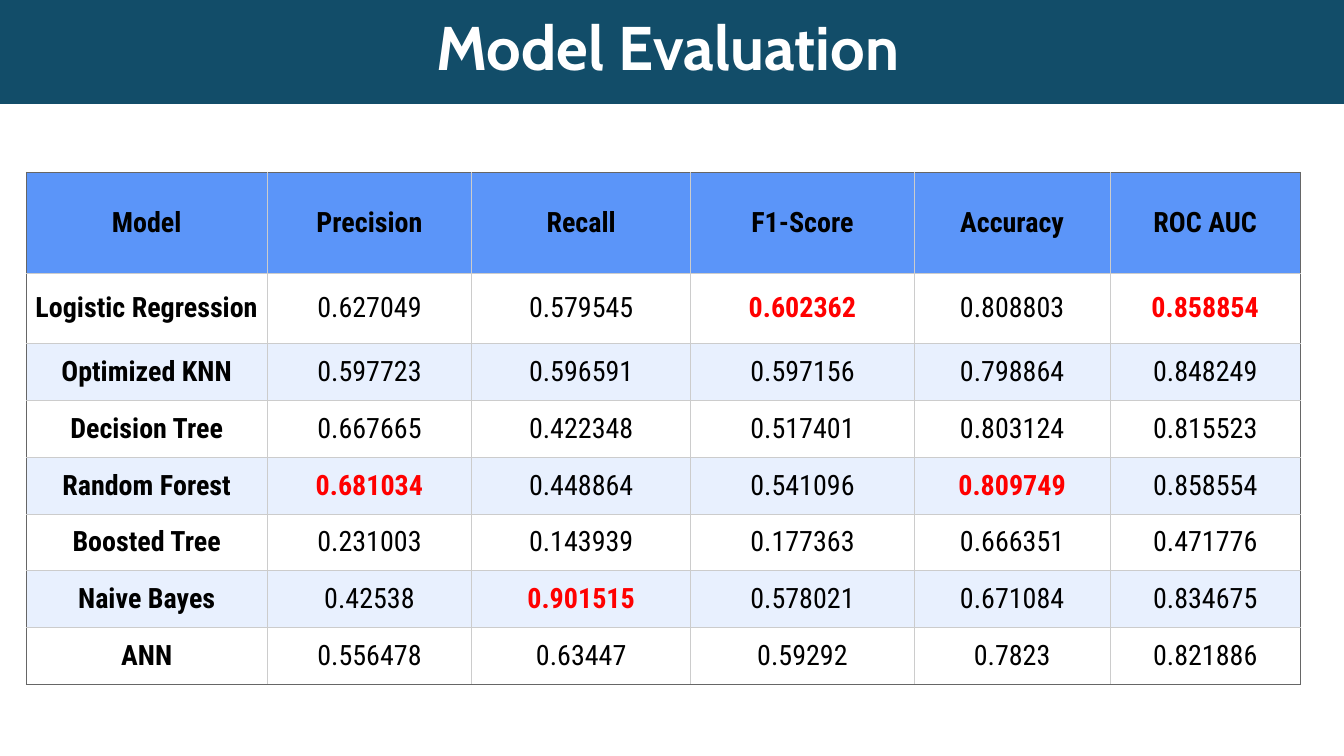
import pptx
import pptx.dml.color
import pptx.enum.shapes
import pptx.enum.text
import pptx.oxml
import pptx.oxml.ns
import pptx.util
from pptx.util import Inches

HEADINGS = ["Model", "Precision", "Recall", "F1-Score", "Accuracy", "ROC AUC"]
SCORES = [
    ["Logistic Regression", "0.627049", "0.579545", "0.602362", "0.808803", "0.858854"],
    ["Optimized KNN", "0.597723", "0.596591", "0.597156", "0.798864", "0.848249"],
    ["Decision Tree", "0.667665", "0.422348", "0.517401", "0.803124", "0.815523"],
    ["Random Forest", "0.681034", "0.448864", "0.541096", "0.809749", "0.858554"],
    ["Boosted Tree", "0.231003", "0.143939", "0.177363", "0.666351", "0.471776"],
    ["Naive Bayes", "0.42538", "0.901515", "0.578021", "0.671084", "0.834675"],
    ["ANN", "0.556478", "0.63447", "0.59292", "0.7823", "0.821886"],
]
COLUMN_WIDTHS = [2.39, 2.03, 2.17, 2.22, 1.94, 1.89]
TABLE_HEIGHT = 5.08
TOP_ROWS = [1, 0.7]
LOWER_ROW_COUNT = len(SCORES) - 1
ROW_HEIGHTS = TOP_ROWS + [(TABLE_HEIGHT - sum(TOP_ROWS)) / LOWER_ROW_COUNT] * LOWER_ROW_COUNT


def color(value):
    return pptx.dml.color.RGBColor.from_string(value)


class EvaluationSlide:
    white, navy, header_blue, pale_blue = "FFFFFF", "124D69", "5B95F9", "E8F0FE"
    ink, best = "000000", "FF0000"
    inner_line, outer_line = "CCCCCC", "666666"
    title_font, table_font = "Cabin", "Roboto Condensed"

    def __init__(self, slide):
        self.slide = slide

    def set_font(self, paragraph, name, size, ink, bold):
        font = paragraph.font
        font.name = name
        font.size = pptx.util.Pt(size)
        font.bold = bold
        font.color.rgb = color(ink)

    def band(self, left, top, width, height):
        band = self.slide.shapes.add_shape(
            pptx.enum.shapes.MSO_SHAPE.RECTANGLE,
            Inches(left), Inches(top), Inches(width), Inches(height))
        band.shadow.inherit = False
        band.fill.solid()
        band.fill.fore_color.rgb = color(self.navy)
        band.line.fill.background()

    def title(self, wording, left, top, width, height):
        frame = self.slide.shapes.add_textbox(
            Inches(left), Inches(top), Inches(width), Inches(height)).text_frame
        frame.word_wrap = True
        frame.vertical_anchor = pptx.enum.text.MSO_ANCHOR.MIDDLE
        heading = frame.paragraphs[0]
        heading.text = wording
        heading.line_spacing = 0.9
        self.set_font(heading, self.title_font, 44, self.white, True)

    def borders(self, cell, outer_sides):
        properties = cell._tc.get_or_add_tcPr()
        for side in "LRTB":
            line = self.outer_line if side in outer_sides else self.inner_line
            properties.append(pptx.oxml.parse_xml(
                f'<a:ln{side} {pptx.oxml.ns.nsdecls("a")} w="{pptx.util.Pt(0.75)}">'
                f'<a:solidFill><a:srgbClr val="{line}"/></a:solidFill></a:ln{side}>'))

    def cell(self, cell, wording, fill, ink, bold, outer_sides):
        cell.margin_left = cell.margin_right = Inches(0.03)
        cell.margin_top = cell.margin_bottom = Inches(0.02)
        cell.vertical_anchor = pptx.enum.text.MSO_ANCHOR.MIDDLE
        self.borders(cell, outer_sides)
        cell.fill.solid()
        cell.fill.fore_color.rgb = color(fill)
        cell.text = wording
        entry = cell.text_frame.paragraphs[0]
        entry.alignment = pptx.enum.text.PP_ALIGN.CENTER
        self.set_font(entry, self.table_font, 20, ink, bold)

    def score_table(self, left, top):
        rows = [HEADINGS] + SCORES
        table = self.slide.shapes.add_table(
            len(rows), len(HEADINGS), Inches(left), Inches(top),
            Inches(sum(COLUMN_WIDTHS)), Inches(TABLE_HEIGHT)).table
        table.first_row = table.horz_banding = False
        for column, width in zip(table.columns, COLUMN_WIDTHS):
            column.width = Inches(width)
        for row, height in zip(table.rows, ROW_HEIGHTS):
            row.height = Inches(height)
        best_scores = [max(column, key=float) for column in list(zip(*SCORES))[1:]]
        last_row, last_column = len(rows) - 1, len(HEADINGS) - 1
        for r, row in enumerate(rows):
            fill = self.header_blue if r == 0 else (self.white if r % 2 else self.pale_blue)
            for c, wording in enumerate(row):
                is_best = c > 0 and wording == best_scores[c - 1]
                edges = {"L": c == 0, "R": c == last_column, "T": r == 0, "B": r == last_row}
                self.cell(table.cell(r, c), wording, fill,
                          self.best if is_best else self.ink,
                          r == 0 or c == 0 or is_best,
                          [side for side, is_outer in edges.items() if is_outer])


def main():
    presentation = pptx.Presentation()
    presentation.slide_width = Inches(13.33)
    presentation.slide_height = Inches(7.5)
    evaluation = EvaluationSlide(presentation.slides.add_slide(presentation.slide_layouts[6]))
    evaluation.band(0, -0.01, 13.33, 1.04)
    evaluation.title("Model Evaluation", 4.23, 0.1, 4.89, 0.81)
    evaluation.score_table(0.26, 1.71)
    presentation.save("out.pptx")


if __name__ == "__main__":
    main()
